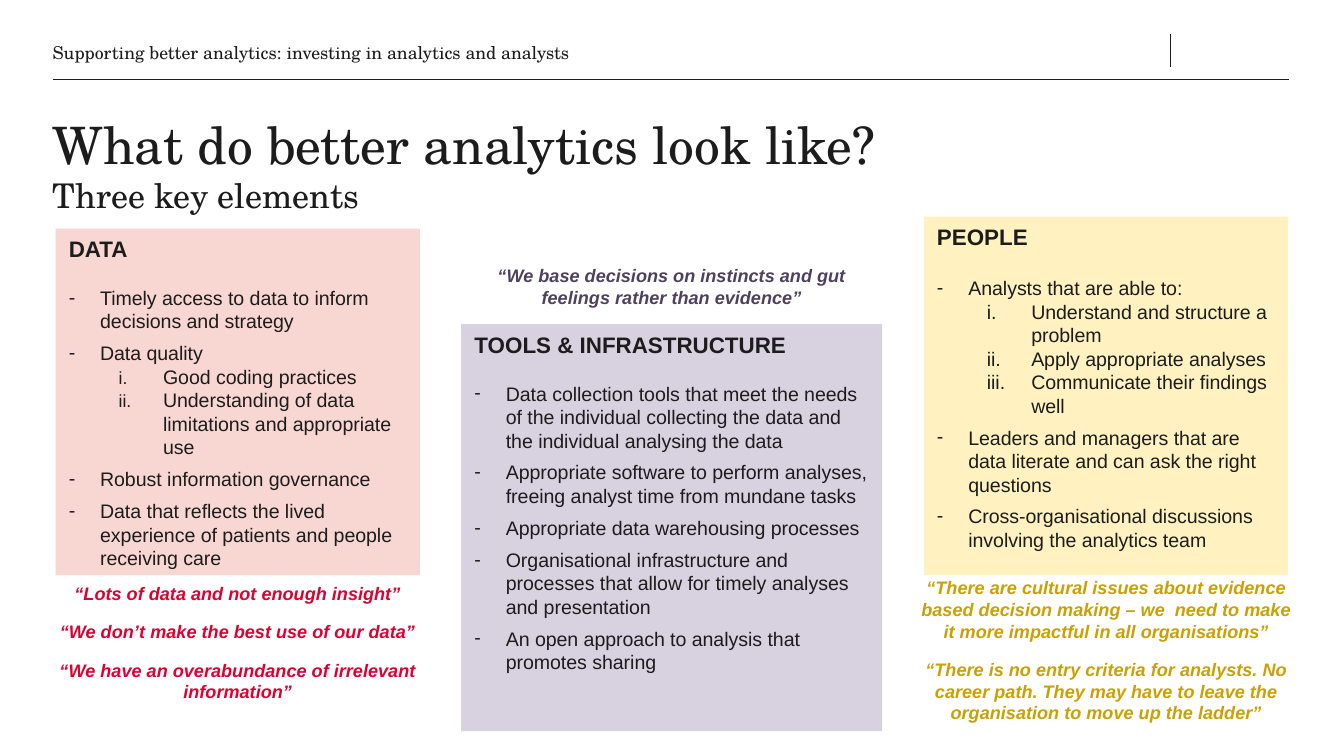
from lxml import etree
from pptx import Presentation
from pptx.dml.color import RGBColor
from pptx.enum.shapes import MSO_CONNECTOR, MSO_SHAPE
from pptx.enum.text import MSO_ANCHOR, PP_ALIGN
from pptx.oxml.ns import qn
from pptx.util import Pt

STRAIGHT = MSO_CONNECTOR.STRAIGHT
RECTANGLE = MSO_SHAPE.RECTANGLE
TOP, BOTTOM = MSO_ANCHOR.TOP, MSO_ANCHOR.BOTTOM
LEFT, CENTER = PP_ALIGN.LEFT, PP_ALIGN.CENTER

SERIF, SANS = "TeX Gyre Schola", "Arial"
COLORS = {
    "ink": "1C1C1C",
    "data": "F8D7D3", "data_quote": "DD0031",
    "tools": "D8D1E0", "tools_quote": "4E405E",
    "people": "FFF2C0", "people_quote": "CBA000",
}
LINE_SPACING = 1.0

# Each point is a string, or a (string, numbered sub-points) pair
DATA_POINTS = [
    "Timely access to data to inform decisions and strategy",
    ("Data quality", [
        "Good coding practices",
        "Understanding of data limitations and appropriate use",
    ]),
    "Robust information governance",
    "Data that reflects the lived experience of patients and people receiving care",
]
TOOLS_POINTS = [
    "Data collection tools that meet the needs of the individual collecting "
    "the data and the individual analysing the data",
    "Appropriate software to perform analyses, freeing analyst time from mundane tasks",
    "Appropriate data warehousing processes",
    "Organisational infrastructure and processes that allow for timely analyses "
    "and presentation",
    "An open approach to analysis that promotes sharing",
]
PEOPLE_POINTS = [
    ("Analysts that are able to:", [
        "Understand and structure a problem",
        "Apply appropriate analyses",
        "Communicate their findings well",
    ]),
    "Leaders and managers that are data literate and can ask the right questions",
    "Cross-organisational discussions involving the analytics team",
]
DATA_QUOTES = [
    "“Lots of data and not enough insight”",
    "“We don’t make the best use of our data”",
    "“We have an overabundance of irrelevant information”",
]
TOOLS_QUOTES = ["“We base decisions on instincts and gut feelings rather than evidence”"]
PEOPLE_QUOTES = [
    "“There are cultural issues about evidence based decision making – we  need "
    "to make it more impactful in all organisations”",
    "“There is no entry criteria for analysts. No career path. They may have to "
    "leave the organisation to move up the ladder”",
]


def rgb(name):
    return RGBColor.from_string(COLORS[name])


def style_run(run, size, font=SANS, color="ink", bold=False, italic=False):
    run.font.size, run.font.name = Pt(size), font
    run.font.bold, run.font.italic = bold, italic
    run.font.color.rgb = rgb(color)


def add_text_area(slide, box, anchor=TOP):
    frame = slide.shapes.add_textbox(*map(Pt, box)).text_frame
    frame.word_wrap = True
    frame.vertical_anchor = anchor
    frame.margin_left = frame.margin_top = frame.margin_right = frame.margin_bottom = 0
    return frame


def add_rule(slide, x1, y1, x2, y2, width):
    rule = slide.shapes.add_connector(STRAIGHT, Pt(x1), Pt(y1), Pt(x2), Pt(y2))
    rule.line.width = Pt(width)
    rule.line.color.rgb = rgb("ink")
    etree.SubElement(rule._element.spPr, qn("a:effectLst"))


def set_marker(paragraph, indent, hanging, tag, size=100, **attributes):
    """Give a paragraph a hanging bullet or number."""
    properties = paragraph._p.get_or_add_pPr()
    properties.set("marL", str(Pt(indent)))
    properties.set("indent", str(-Pt(hanging)))
    etree.SubElement(properties, qn("a:buSzPct"), val=str(size * 1000))
    etree.SubElement(properties, qn("a:buFont"), typeface=SANS)
    etree.SubElement(properties, qn(tag), **attributes)


def add_line(frame, text, space_before):
    paragraph = frame.add_paragraph()
    paragraph.text = text
    paragraph.alignment = LEFT
    paragraph.line_spacing = LINE_SPACING
    paragraph.space_before = Pt(space_before)
    style_run(paragraph.runs[0], 10.5)
    return paragraph


def add_header(slide, box):
    """Running title above a rule, with a short upright bar at the right."""
    left, top, width, height = box
    frame = add_text_area(slide, (left, top, 432, 16.2), BOTTOM)
    frame.text = "Supporting better analytics: investing in analytics and analysts"
    style_run(frame.paragraphs[0].runs[0], 9.5, SERIF)
    add_rule(slide, left, top + height, left + width, top + height, 0.5)
    bar_x = left + width - 63.2
    add_rule(slide, bar_x, top + 0.7, bar_x, top + 18.7, 0.75)


def add_title(slide, box):
    frame = add_text_area(slide, box)
    frame.text = "What do better analytics look like?\vThree key elements"
    for run, size in zip(frame.paragraphs[0].runs, (27.6, 18.2)):
        style_run(run, size, SERIF)


def add_element_card(slide, box, color, heading, points, heading_gap, number_size=100):
    """Filled card with a heading, dashed points and numbered sub-points."""
    card = slide.shapes.add_shape(RECTANGLE, *map(Pt, box))
    card.shadow.inherit = False
    card.fill.solid()
    card.fill.fore_color.rgb = rgb(color)
    card.line.fill.background()
    frame = card.text_frame
    frame.word_wrap = True
    frame.vertical_anchor = TOP
    frame.text = heading
    title = frame.paragraphs[0]
    title.alignment = LEFT
    title.line_spacing = LINE_SPACING
    style_run(title.runs[0], 12, bold=True)

    for index, point in enumerate(points):
        text, subpoints = (point, []) if isinstance(point, str) else point
        line = add_line(frame, text, 4.5 if index else heading_gap)
        set_marker(line, 16.8, 16.8, "a:buChar", char="-")
        for subpoint in subpoints:
            line = add_line(frame, subpoint, 0)
            line.level = 1
            set_marker(line, 50.5, 23.8, "a:buAutoNum", number_size, type="romanLcPeriod")


def add_quotes(slide, box, color, quotes):
    frame = add_text_area(slide, box)
    frame.text = "\n".join(quotes)
    for index, paragraph in enumerate(frame.paragraphs):
        paragraph.alignment = CENTER
        paragraph.line_spacing = LINE_SPACING
        paragraph.space_before = Pt(9 if index else 0)
        style_run(paragraph.runs[0], 9.7, color=color, bold=True, italic=True)


def main():
    presentation = Presentation()
    presentation.slide_width, presentation.slide_height = Pt(720), Pt(405)
    slide = presentation.slides.add_slide(presentation.slide_layouts[6])

    add_header(slide, (28.2, 17.4, 662.2, 25.1))
    add_title(slide, (28.2, 60.5, 662, 36.7))

    # Three key elements
    add_element_card(slide, (29.8, 122.5, 195.2, 185.6), "data", "DATA",
                     DATA_POINTS, 12.7, number_size=90)
    add_element_card(slide, (247.1, 173.7, 225.5, 218), "tools",
                     "TOOLS & INFRASTRUCTURE", TOOLS_POINTS, 12.7)
    add_element_card(slide, (494.9, 116, 195.2, 192.1), "people", "PEOPLE",
                     PEOPLE_POINTS, 14)

    # Quotes beside each element
    add_quotes(slide, (29.8, 311.8, 195.2, 75.6), "data_quote", DATA_QUOTES)
    add_quotes(slide, (247.1, 141.6, 225.5, 31.7), "tools_quote", TOOLS_QUOTES)
    add_quotes(slide, (492.2, 308.9, 201, 90), "people_quote", PEOPLE_QUOTES)

    presentation.save("out.pptx")


if __name__ == "__main__":
    main()
